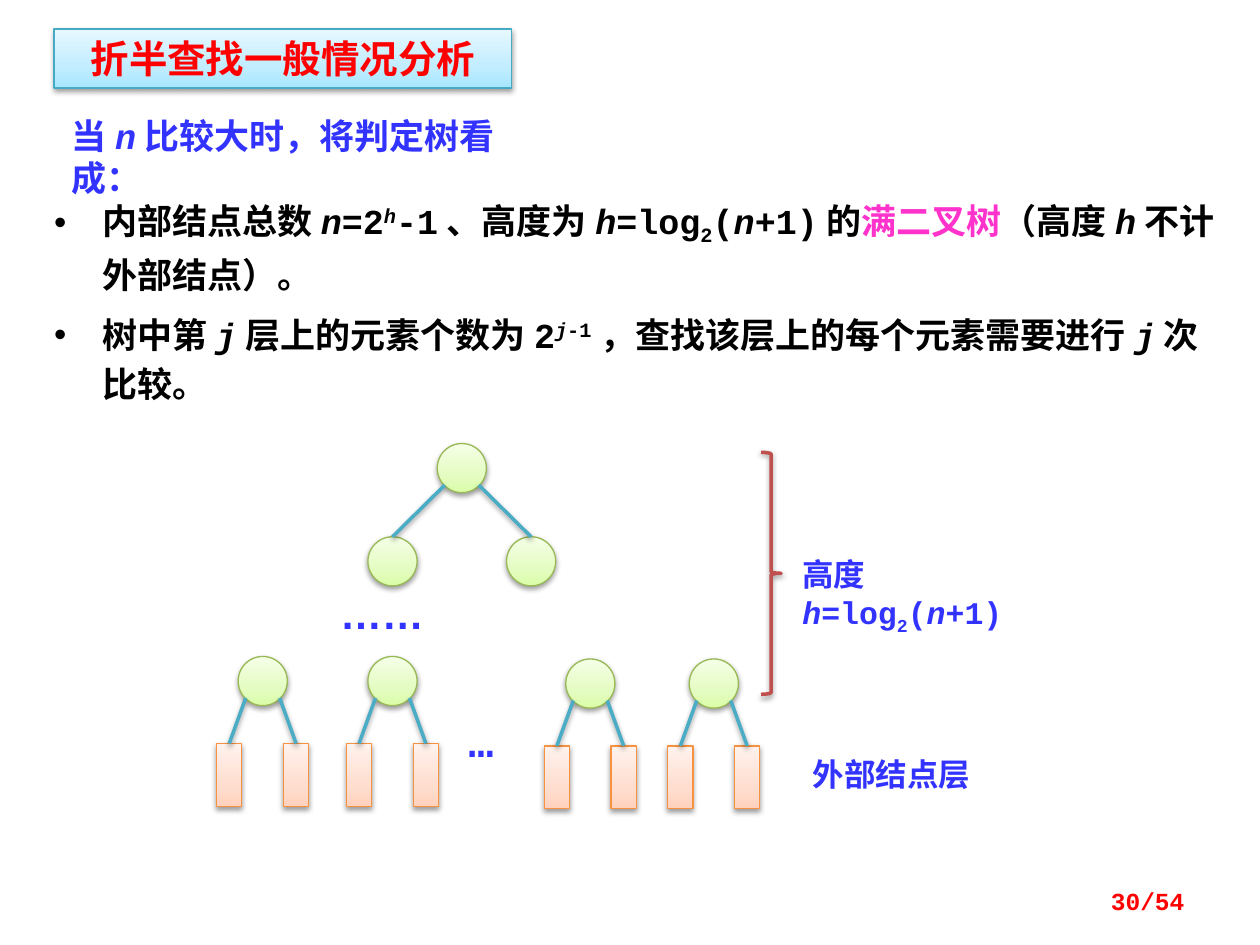
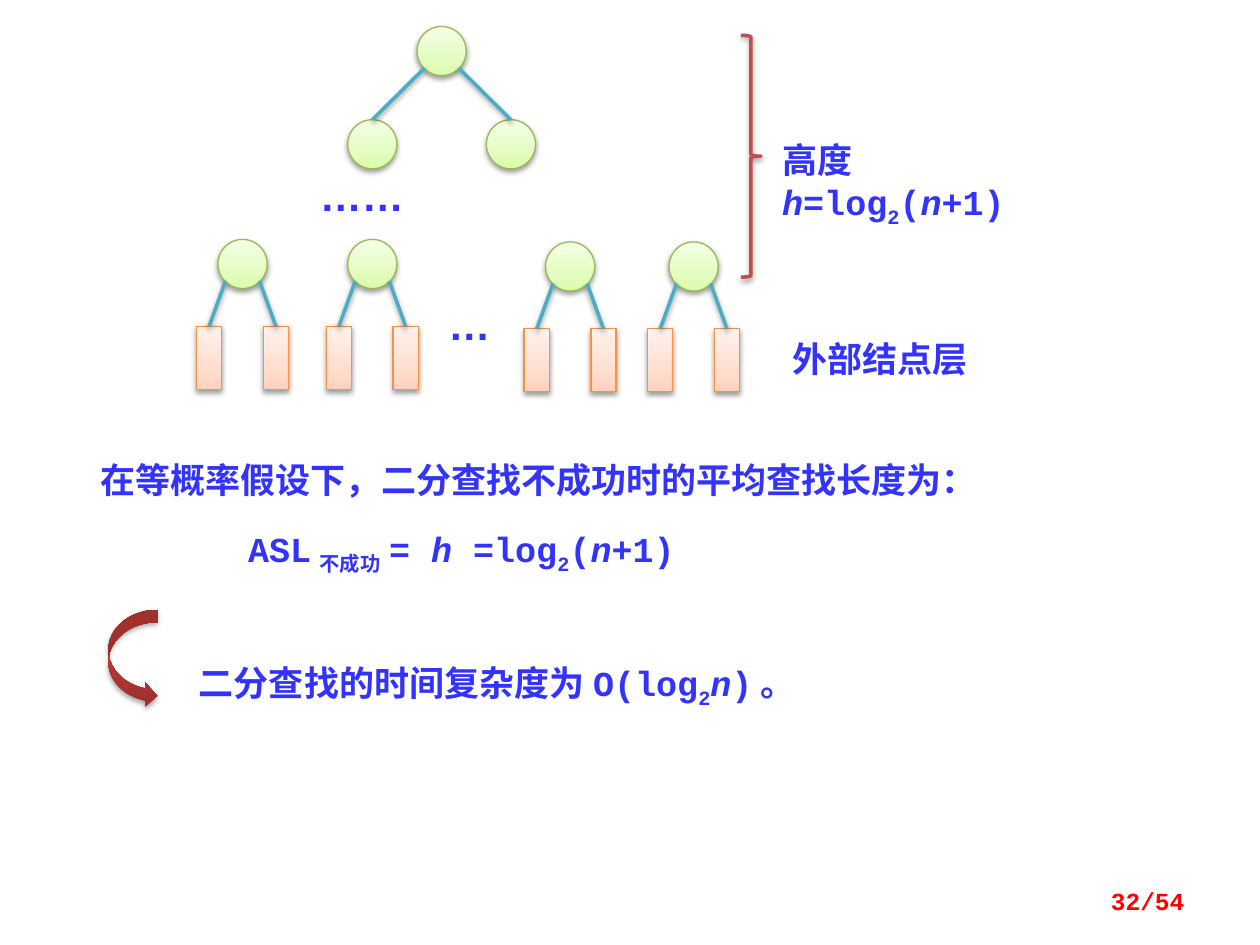
from typing import NamedTuple, Sequence

from lxml import etree
from pptx import Presentation
from pptx.dml.color import RGBColor
from pptx.enum.shapes import MSO_CONNECTOR, MSO_SHAPE
from pptx.enum.text import MSO_ANCHOR, MSO_AUTO_SIZE, PP_ALIGN
from pptx.oxml.ns import qn
from pptx.util import Inches, Pt

STRAIGHT = MSO_CONNECTOR.STRAIGHT
RECT, OVAL = MSO_SHAPE.RECTANGLE, MSO_SHAPE.OVAL
BRACE, CURVED_ARROW = MSO_SHAPE.RIGHT_BRACE, MSO_SHAPE.CURVED_RIGHT_ARROW
LEFT, CENTER, RIGHT = PP_ALIGN.LEFT, PP_ALIGN.CENTER, PP_ALIGN.RIGHT
TOP, MIDDLE = MSO_ANCHOR.TOP, MSO_ANCHOR.MIDDLE

COLORS = {
    "white": "FFFFFF", "black": "000000", "blue": "3333FF", "red": "FF0000",
    "pink": "FF33CC", "edge": "4BACC6", "brace": "C0504D",
    "title_line": "46AAC5", "node_line": "98B955", "leaf_line": "F69240",
}
GRADIENTS = {
    "title": {0: "A7E6FF", 35: "C1EDFF", 100: "E7F8FF"},
    "node": {0: "DAFDA7", 35: "E4FCC2", 100: "F5FFE7"},
    "leaf": {0: "FFD2BD", 35: "FFDED0", 100: "FFF2ED"},
    "arrow": {0: "9C2F2D", 80: "CB3E3A", 100: "CE3B37"},
}
MONO, SANS, CJK = "Courier New", "Arial", "Noto Sans CJK SC"
PAGE_COUNT = 54
NODE_SIZE = 0.39


class Box(NamedTuple):
    left: float
    top: float
    width: float
    height: float

    def shifted(self, dx: float, dy: float) -> "Box":
        return Box(self.left + dx, self.top + dy, self.width, self.height)

    def lengths(self) -> list:
        return [Inches(value) for value in self]


class Run(NamedTuple):
    text: str
    italic: bool = False
    baseline: int = 0
    color: str = ""


class Style(NamedTuple):
    size: int = 20
    font: str = MONO
    color: str = "blue"
    align: PP_ALIGN = LEFT


class ChildKind(NamedTuple):
    """How a pair of children hangs below its parent node."""
    shape: MSO_SHAPE
    gradient: str
    line: str
    width: float
    height: float
    offsets: tuple
    drop: float


INNER = ChildKind(OVAL, "node", "node_line", NODE_SIZE, NODE_SIZE, (-0.55, 0.55), 0.74)
OUTER = ChildKind(RECT, "leaf", "leaf_line", 0.2, 0.5, (-0.17, 0.36), 0.69)
EDGE_STARTS = (0.06, 0.33)
OUTER_PARENTS = ((1.89, 5.21), (2.92, 5.21), (4.49, 5.23), (5.47, 5.23))

LOG_N_PLUS_1 = [Run("=log"), Run("2", baseline=-25), Run("("), Run("n", True)]
HEIGHT_LABEL = [Run("高度"), Run("h", True), *LOG_N_PLUS_1, Run("+1)")]
TREE_FACTS = [
    [Run("内部结点总数"), Run("n", True), Run("=2"), Run("h", True, 30),
     Run("-1、高度为"), Run("h", True), *LOG_N_PLUS_1, Run("+1)的"),
     Run("满二叉树", color="pink"), Run("（高度"), Run("h", True),
     Run("不计外部结点）。")],
    [Run("树中第"), Run("j", True), Run("层上的元素个数为2"), Run("j", True, 30),
     Run("-1", baseline=30), Run("，查找该层上的每个元素需要进行"),
     Run("j", True), Run("次比较。")],
]


def rgb(name: str) -> RGBColor:
    return RGBColor.from_string(COLORS[name])


def add_shadow(shape, alpha: int = 38, distance: float = 1.6) -> None:
    effects = etree.SubElement(shape._element.spPr, qn("a:effectLst"))
    shadow = etree.SubElement(
        effects, qn("a:outerShdw"), blurRad=str(Pt(3.1)), dist=str(Pt(distance)),
        dir="5400000", rotWithShape="0")
    color = etree.SubElement(shadow, qn("a:srgbClr"), val=COLORS["black"])
    etree.SubElement(color, qn("a:alpha"), val=str(alpha * 1000))


def fill_gradient(shape, name: str) -> None:
    """Fill upwards from the first stop to the last."""
    shape.fill.gradient()
    shape.fill.gradient_angle = 90
    stops = shape._element.spPr.find(".//" + qn("a:gsLst"))
    for stop in list(stops):
        stops.remove(stop)
    for position, color in GRADIENTS[name].items():
        stop = etree.SubElement(stops, qn("a:gs"), pos=str(position * 1000))
        etree.SubElement(stop, qn("a:srgbClr"), val=color)


def set_line(shape, color: str, width: float) -> None:
    shape.line.color.rgb = rgb(color)
    shape.line.width = Pt(width)


def add_gradient_shape(slide, kind: MSO_SHAPE, box: Box, gradient: str, line: str):
    shape = slide.shapes.add_shape(kind, *box.lengths())
    fill_gradient(shape, gradient)
    set_line(shape, line, 0.75)
    add_shadow(shape)
    return shape


def write_paragraph(paragraph, runs: Sequence[Run], style: Style) -> None:
    paragraph.alignment = style.align
    for part in runs:
        run = paragraph.add_run()
        run.text = part.text
        run.font.size = Pt(style.size)
        run.font.bold = True
        run.font.italic = part.italic
        run.font.name = style.font
        run.font.color.rgb = rgb(part.color or style.color)
        properties = run._r.get_or_add_rPr()
        if part.baseline:
            properties.set("baseline", str(part.baseline * 1000))
        east_asian = etree.Element(qn("a:ea"), typeface=CJK)
        properties.find(qn("a:latin")).addnext(east_asian)


def prepare_frame(shape, anchor: MSO_ANCHOR = TOP):
    frame = shape.text_frame
    frame.word_wrap = True
    frame.vertical_anchor = anchor
    if anchor == TOP:
        frame.auto_size = MSO_AUTO_SIZE.SHAPE_TO_FIT_TEXT
    return frame


def add_text(slide, box: Box, runs: Sequence[Run], style: Style = Style(),
             anchor: MSO_ANCHOR = TOP) -> None:
    frame = prepare_frame(slide.shapes.add_textbox(*box.lengths()), anchor)
    write_paragraph(frame.paragraphs[0], runs, style)


def add_title(slide, title: str) -> None:
    banner = add_gradient_shape(slide, RECT, Box(0.43, 0.23, 3.63, 0.47),
                                "title", "title_line")
    write_paragraph(prepare_frame(banner).paragraphs[0], [Run(title)],
                    Style(22, CJK, "red", CENTER))


def add_page_number(slide, number: int) -> None:
    add_text(slide, Box(7.17, 6.95, 2.33, 0.4), [Run(f"{number}/{PAGE_COUNT}")],
             Style(14, color="red", align=RIGHT), MIDDLE)


def add_bullets(slide, box: Box, items: Sequence[Sequence[Run]]) -> None:
    panel = slide.shapes.add_shape(RECT, *box.lengths())
    panel.shadow.inherit = False
    panel.fill.solid()
    panel.fill.fore_color.rgb = rgb("white")
    panel.line.fill.background()
    frame = prepare_frame(panel)
    frame.margin_left, frame.margin_top = Inches(0.2), Inches(0.16)
    frame.margin_right, frame.margin_bottom = Inches(0.1), Inches(0.2)
    for index, runs in enumerate(items):
        paragraph = frame.add_paragraph() if index else frame.paragraphs[0]
        paragraph.line_spacing = Pt(28)
        paragraph.space_before = Pt(6 if index else 0)
        properties = paragraph._p.get_or_add_pPr()
        properties.set("marL", str(Inches(0.38)))
        properties.set("indent", str(Inches(-0.38)))
        bullet_color = etree.SubElement(properties, qn("a:buClr"))
        etree.SubElement(bullet_color, qn("a:srgbClr"), val=COLORS["black"])
        etree.SubElement(properties, qn("a:buFont"), typeface=SANS)
        etree.SubElement(properties, qn("a:buChar"), char="•")
        write_paragraph(paragraph, runs, Style(color="black"))


def add_node(slide, left: float, top: float) -> None:
    add_gradient_shape(slide, OVAL, Box(left, top, NODE_SIZE, NODE_SIZE),
                       "node", "node_line")


def add_family(slide, left: float, top: float, kind: ChildKind) -> None:
    """Draw a parent node at left, top with two children and their edges."""
    add_node(slide, left, top)
    for offset, start in zip(kind.offsets, EDGE_STARTS):
        child = add_gradient_shape(
            slide, kind.shape,
            Box(left + offset, top + kind.drop, kind.width, kind.height),
            kind.gradient, kind.line)
        edge = slide.shapes.add_connector(
            STRAIGHT, Inches(left + start), Inches(top + EDGE_STARTS[1]),
            child.left + child.width // 2, child.top)
        edge.end_connect(child, 0)
        set_line(edge, "edge", 2)
        add_shadow(edge)


def add_decision_tree(slide, label_size: int, gap_font: str,
                      dx: float = 0, dy: float = 0) -> None:
    add_family(slide, 3.47 + dx, 3.52 + dy, INNER)
    for left, top in OUTER_PARENTS:
        add_family(slide, left + dx, top + dy, OUTER)
    brace = slide.shapes.add_shape(
        BRACE, *Box(6.04, 3.59, 0.16, 1.92).shifted(dx, dy).lengths())
    brace.fill.background()
    set_line(brace, "brace", 2)
    add_shadow(brace)
    labels = [
        (Box(2.6, 4.61, 1.09, 0.5), [Run("……")], Style(24, SANS)),
        (Box(3.62, 5.63, 0.47, 0.5), [Run("…")], Style(24, gap_font)),
        (Box(6.35, 5.94, 1.72, 0.4), [Run("外部结点层")], Style(label_size, CJK)),
        (Box(6.27, 4.36, 2.27, 0.4), HEIGHT_LABEL, Style(label_size)),
    ]
    for box, runs, style in labels:
        add_text(slide, box.shifted(dx, dy), runs, style)


def build_tree_slide(slide) -> None:
    add_bullets(slide, Box(0.23, 1.41, 9.61, 1.62), TREE_FACTS)
    add_title(slide, "折半查找一般情况分析")
    add_decision_tree(slide, 18, MONO)
    add_text(slide, Box(0.47, 0.86, 3.75, 0.44),
             [Run("当"), Run("n", True), Run("比较大时，将判定树看成：")])
    add_page_number(slide, 30)


def build_complexity_slide(slide) -> None:
    add_text(slide, Box(0.7, 3.59, 7.58, 0.44),
             [Run("在等概率假设下，二分查找不成功时的平均查找长度为：")])
    add_text(slide, Box(1.48, 5.2, 5.78, 0.44),
             [Run("二分查找的时间复杂度为O(log"), Run("2", baseline=-25),
              Run("n", True), Run(")。")])
    conclusion_arrow = slide.shapes.add_shape(
        CURVED_ARROW, *Box(0.86, 4.84, 0.39, 0.78).lengths())
    fill_gradient(conclusion_arrow, "arrow")
    conclusion_arrow.line.fill.background()
    add_shadow(conclusion_arrow, 35, 1.8)
    add_decision_tree(slide, 20, SANS, dx=-0.16, dy=-3.31)
    add_text(slide, Box(1.87, 4.14, 3.75, 0.44),
             [Run("ASL"), Run("不成功", baseline=-25), Run("= "), Run("h ", True),
              *LOG_N_PLUS_1, Run("+1)")])
    add_page_number(slide, 32)


def main() -> None:
    deck = Presentation()
    deck.slide_width, deck.slide_height = Inches(10), Inches(7.5)
    blank = deck.slide_layouts[6]
    for build in (build_tree_slide, build_complexity_slide):
        build(deck.slides.add_slide(blank))
    deck.save("out.pptx")


if __name__ == "__main__":
    main()
